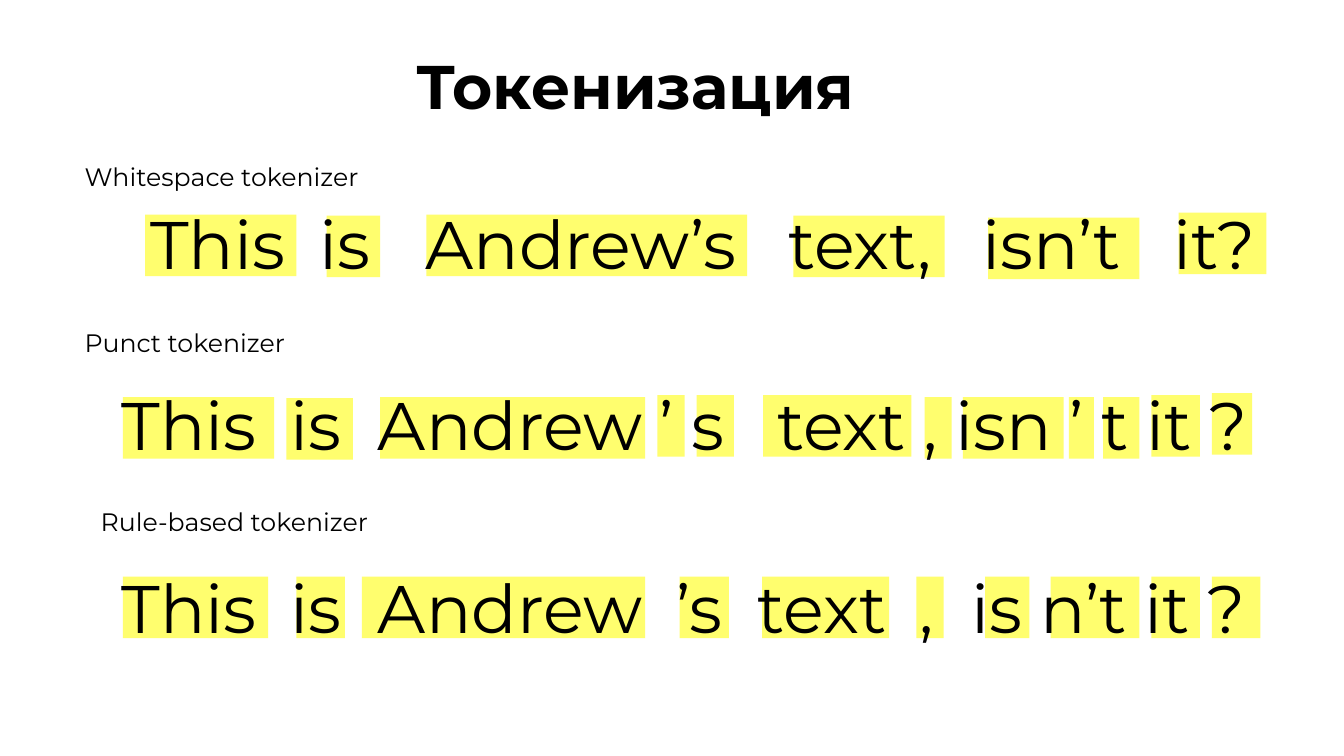
from lxml import etree
from pptx import Presentation
from pptx.dml.color import RGBColor
from pptx.enum.shapes import MSO_SHAPE
from pptx.enum.text import MSO_ANCHOR, PP_ALIGN
from pptx.oxml.ns import qn
from pptx.util import Inches, Pt

RECTANGLE = MSO_SHAPE.RECTANGLE
TOP = MSO_ANCHOR.TOP
LEFT, CENTER = PP_ALIGN.LEFT, PP_ALIGN.CENTER
BLACK = RGBColor(0x00, 0x00, 0x00)
YELLOW = RGBColor(0xFF, 0xFE, 0x6E)
FONT = "Montserrat"
TITLE_ONLY_LAYOUT = 5
MARK_HEIGHT = 0.61
LABEL_WIDTH, LABEL_HEIGHT = 6.67, 0.4
SENTENCE_HEIGHT = 0.91

TOKENIZERS = [
    {
        "label": "Whitespace tokenizer",
        "label_at": (0.74, 1.55),
        "sentence": "This\tis\tAndrew’s\ttext,\tisn’t\tit?",
        "sentence_box": (1.39, 1.96, 11.79),
        "tab_stops": [1.68, 2.73, 6.33, 8.26, 10.15],
        "marks": [(1.44, 2.13, 1.5), (3.24, 2.14, 0.53), (4.23, 2.13, 3.18),
                  (7.87, 2.14, 1.5), (9.8, 2.16, 1.5), (11.69, 2.11, 0.87)],
    },
    {
        "label": "Punct tokenizer",
        "label_at": (0.74, 3.2),
        "sentence": "This\tis\tAndrew ’ s\ttext , isn ’ t it ?",
        "sentence_box": (1.11, 3.75, 11.64),
        "tab_stops": [1.67, 2.54, 6.5],
        "marks": [(1.22, 3.94, 1.5), (2.84, 3.95, 0.66), (3.77, 3.94, 2.63),
                  (6.52, 3.92, 0.27), (6.91, 3.92, 0.37), (7.57, 3.92, 1.47),
                  (9.17, 3.94, 0.27), (9.55, 3.94, 1), (10.6, 3.94, 0.25),
                  (10.94, 3.94, 0.36), (11.42, 3.92, 0.48), (12.02, 3.9, 0.4)],
    },
    {
        "label": "Rule-based tokenizer",
        "label_at": (0.9, 4.97),
        "sentence": "This\tis\tAndrew\t’s\ttext\t,\tis n’t it ?",
        "sentence_box": (1.11, 5.57, 11.84),
        "tab_stops": [1.67, 2.54, 5.5, 6.31, 7.91, 8.43],
        "marks": [(left, 5.72, width) for left, width in [
            (1.22, 1.44), (2.94, 0.48), (3.59, 2.81), (6.74, 0.49), (7.56, 1.26),
            (9.09, 0.27), (9.77, 0.44), (10.42, 0.88), (11.42, 0.48), (12.02, 0.48)]],
    },
]


def write_text(shape, text, size, bold=False, alignment=LEFT):
    """Put one formatted paragraph in a shape and return the paragraph."""
    text_frame = shape.text_frame
    text_frame.text = text
    text_frame.word_wrap = True
    text_frame.vertical_anchor = TOP
    paragraph = text_frame.paragraphs[0]
    paragraph.alignment = alignment
    for run in paragraph.runs:
        run.font.name = FONT
        run.font.size = Pt(size)
        run.font.bold = bold
        run.font.color.rgb = BLACK
    return paragraph


def set_tab_stops(paragraph, positions):
    """Give a paragraph left tab stops at the given inches."""
    properties = paragraph._p.get_or_add_pPr()
    tab_list = etree.SubElement(properties, qn("a:tabLst"))
    for position in positions:
        etree.SubElement(tab_list, qn("a:tab"), pos=str(Inches(position)), algn="l")


def add_title(slide, text, left, top, width, height):
    """Place the slide title in its box."""
    title = slide.shapes.title
    title.left, title.top = Inches(left), Inches(top)
    title.width, title.height = Inches(width), Inches(height)
    write_text(title, text, 44, bold=True, alignment=CENTER)


def add_text_box(slide, text, size, left, top, width, height):
    """Add a text box and return its paragraph."""
    box = slide.shapes.add_textbox(Inches(left), Inches(top), Inches(width), Inches(height))
    return write_text(box, text, size)


def add_mark(slide, left, top, width):
    """Add the highlight behind one token."""
    mark = slide.shapes.add_shape(
        RECTANGLE, Inches(left), Inches(top), Inches(width), Inches(MARK_HEIGHT))
    mark.shadow.inherit = False
    mark.fill.solid()
    mark.fill.fore_color.rgb = YELLOW
    mark.line.fill.background()


def add_tokenizer(slide, label, label_at, sentence, sentence_box, tab_stops, marks):
    """Add a tokenizer's label and its sentence with highlighted tokens."""
    for mark in marks:
        add_mark(slide, *mark)
    add_text_box(slide, label, 18, *label_at, LABEL_WIDTH, LABEL_HEIGHT)
    paragraph = add_text_box(slide, sentence, 48, *sentence_box, SENTENCE_HEIGHT)
    set_tab_stops(paragraph, tab_stops)


def main():
    """Build and save the presentation."""
    presentation = Presentation()
    presentation.slide_width, presentation.slide_height = Inches(13.33), Inches(7.5)
    slide = presentation.slides.add_slide(presentation.slide_layouts[TITLE_ONLY_LAYOUT])
    add_title(slide, "Токенизация", 1.97, 0.43, 8.67, 0.84)
    for tokenizer in TOKENIZERS:
        add_tokenizer(slide, **tokenizer)
    presentation.save("out.pptx")


main()
